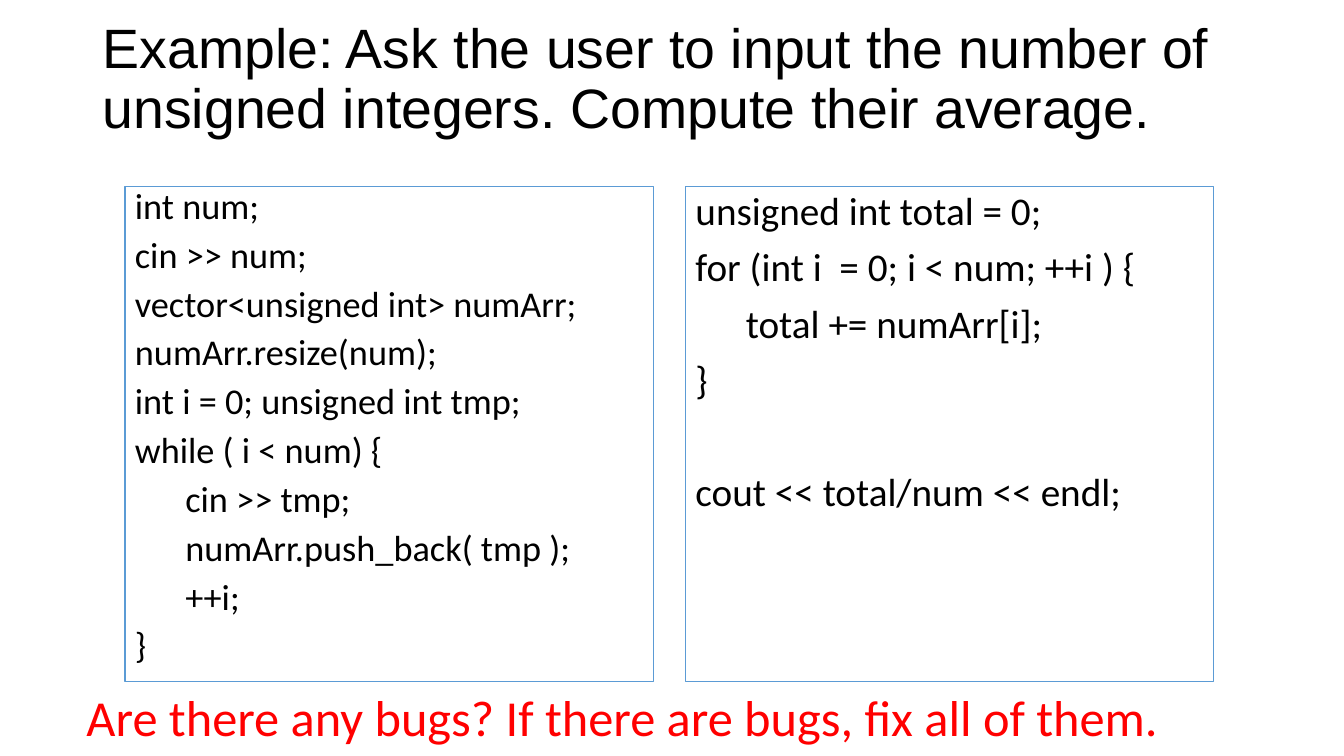
from lxml.etree import SubElement
from pptx import Presentation
from pptx.dml.color import RGBColor
from pptx.enum.shapes import MSO_SHAPE as Shape
from pptx.enum.text import MSO_ANCHOR as Anchor, MSO_AUTO_SIZE as AutoSize, PP_ALIGN as Align
from pptx.oxml.ns import qn
from pptx.util import Inches, Pt

BLACK, RED, BLUE = "000000", "FF0000", "5B9BD5"
TITLE = ("Example: Ask the user to input the number of "
         "unsigned integers. Compute their average.\v")
INPUT_CODE = [
    "int num;",
    "cin >> num;",
    "vector<unsigned int> numArr;",
    "numArr.resize(num);",
    "int i = 0; unsigned int tmp;",
    "while ( i < num) {",
    "\tcin >> tmp;",
    "\tnumArr.push_back( tmp );",
    "\t++i;",
    "}",
]
TOTAL_CODE = [
    "unsigned int total = 0;",
    "for (int i  = 0; i < num; ++i ) {",
    "\ttotal += numArr[i];",
    "}",
    "cout << total/num << endl;",
]
QUESTION = "Are there any bugs? If there are bugs, fix all of them."


def colour(value):
    return RGBColor.from_string(value)


def style(para, size, font, ink):
    para.alignment = Align.LEFT
    for span in para.runs:
        span.font.size = Pt(size)
        span.font.name = font
        span.font.color.rgb = colour(ink)


def add_title(page, box):
    frame = page.shapes.add_textbox(*box).text_frame
    frame.word_wrap = True
    frame.vertical_anchor = Anchor.MIDDLE
    para = frame.paragraphs[0]
    para.text = TITLE
    para.line_spacing = 0.9
    style(para, 39.6, "Arial", BLACK)
    SubElement(para._p, qn("a:endParaRPr"), sz="3960")


def add_code(page, box, lines, size, spacing, gaps):
    panel = page.shapes.add_shape(Shape.RECTANGLE, *box)
    panel.shadow.inherit = False
    panel.fill.background()
    panel.line.color.rgb = colour(BLUE)
    panel.line.width = Pt(0.75)
    frame = panel.text_frame
    frame.word_wrap = True
    frame.vertical_anchor = Anchor.TOP
    frame.text = "\n".join(lines)
    for line, para in zip(lines, frame.paragraphs):
        para.line_spacing = spacing
        para.space_before = Pt(gaps.get(line, 10))
        style(para, size, "Calibri", BLACK)


def add_code_pair(page, box):
    left, top, width, height = box
    gutter = Inches(0.32)
    column = (width - gutter) // 2
    panels = [(INPUT_CODE, 25.9, 0.8, {}),
              (TOTAL_CODE, 28, 0.9, {TOTAL_CODE[-1]: 50})]
    for index, panel in enumerate(panels):
        add_code(page, (left + index * (column + gutter), top, column, height), *panel)


def add_question(page, box):
    frame = page.shapes.add_textbox(*box).text_frame
    frame.word_wrap = False
    frame.auto_size = AutoSize.SHAPE_TO_FIT_TEXT
    frame.text = QUESTION
    style(frame.paragraphs[0], 36, "Calibri", RED)


def inches(*lengths):
    return [Inches(length) for length in lengths]


deck = Presentation()
deck.slide_width, deck.slide_height = inches(13.33, 7.5)
page = deck.slides.add_slide(deck.slide_layouts[6])
add_title(page, inches(0.92, 0.4, 11.5, 1.45))
add_code_pair(page, inches(1.24, 1.85, 10.8, 4.91))
add_question(page, inches(0.76, 6.76, 10.93, 0.71))
deck.save("out.pptx")
